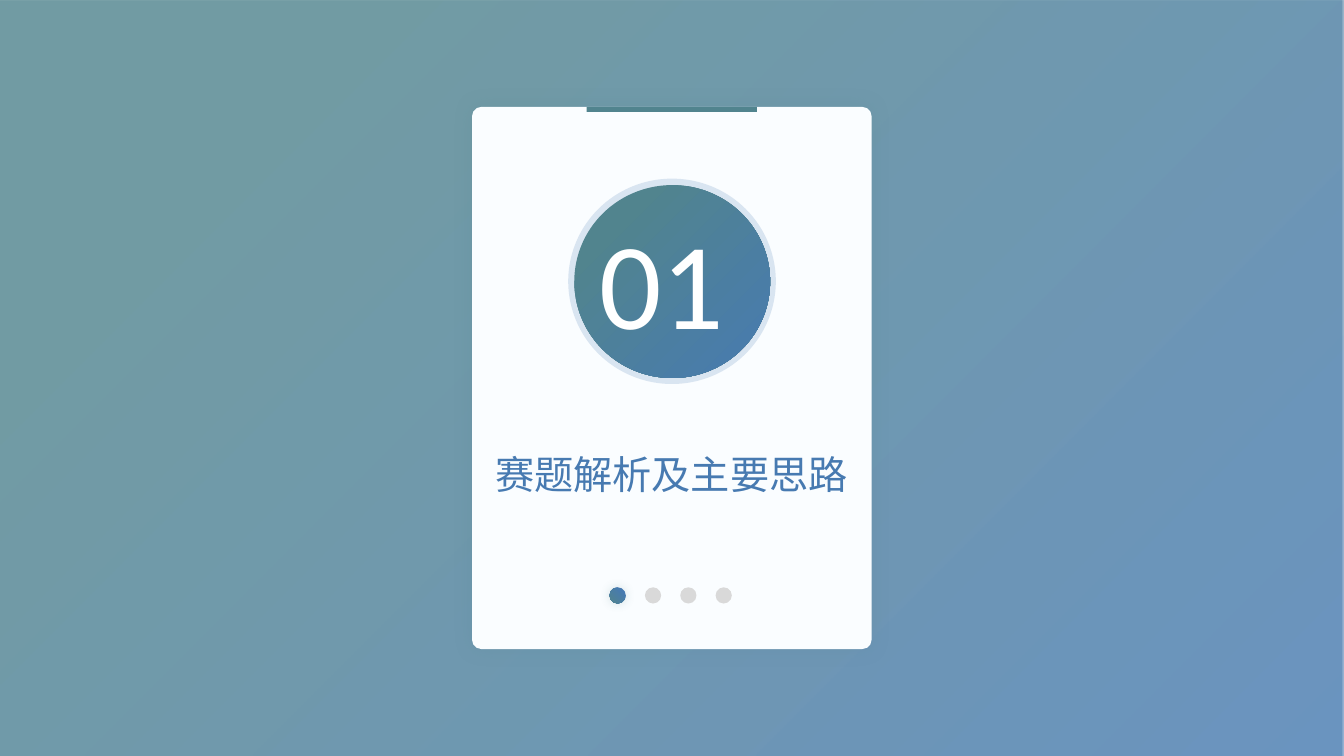
"""Build the section opener slide: a numbered card on a gradient background."""
from dataclasses import dataclass

from lxml.etree import SubElement
from pptx import Presentation
from pptx.dml.color import RGBColor
from pptx.enum.shapes import MSO_SHAPE
from pptx.enum.text import MSO_ANCHOR, MSO_AUTO_SIZE, PP_ALIGN
from pptx.oxml.ns import qn
from pptx.shapes.autoshape import Shape
from pptx.slide import Slide
from pptx.util import Pt


@dataclass(frozen=True)
class Theme:
    teal: str = "51848E"
    blue: str = "477AB1"
    ring: str = "8FAFD2"
    card: str = "FAFDFF"
    inactive: str = "D9D9D9"
    white: str = "FFFFFF"
    number_font: str = "Calibri"
    title_font: str = "Arial"
    number_size: float = 88
    title_size: float = 28


@dataclass(frozen=True)
class Frame:
    left: float
    top: float
    width: float
    height: float


@dataclass(frozen=True)
class Glow:
    color: str
    opacity: int
    blur: float


@dataclass(frozen=True)
class Panel:
    kind: MSO_SHAPE
    frame: Frame
    colors: tuple[str, ...]
    angle: int = 45
    opacity: int = 100
    corner: float | None = None
    glow: Glow | None = None


THEME = Theme()
PAGE_WIDTH, PAGE_HEIGHT = 960, 540
GRADIENT = (THEME.teal, THEME.blue)
GRADIENT_STOPS = (0.2, 1.0)
DOT_COUNT, DOT_LEFT, DOT_TOP, DOT_SIZE, DOT_STEP = 4, 435.4, 419.5, 11.6, 25.25

PANELS = (
    Panel(MSO_SHAPE.RECTANGLE, Frame(0, 0, PAGE_WIDTH, PAGE_HEIGHT), GRADIENT, opacity=80),
    Panel(MSO_SHAPE.ROUNDED_RECTANGLE, Frame(337.2, 76.4, 285.4, 387.2), (THEME.card,),
          corner=0.023, glow=Glow(THEME.teal, 20, 15)),
    Panel(MSO_SHAPE.RECTANGLE, Frame(419, 76.4, 121.7, 3.6), (THEME.teal,)),
    Panel(MSO_SHAPE.OVAL, Frame(405.9, 127.6, 148.3, 146.7), (THEME.ring,), opacity=30),
    Panel(MSO_SHAPE.OVAL, Frame(410.2, 132.2, 139.9, 137.8), GRADIENT),
)


def place(shape: Shape, frame: Frame) -> None:
    """Move and size a shape."""
    shape.left, shape.top = Pt(frame.left), Pt(frame.top)
    shape.width, shape.height = Pt(frame.width), Pt(frame.height)


def set_opacity(color_element, opacity: int) -> None:
    """Give a colour element an opacity in percent."""
    SubElement(color_element, qn("a:alpha"), val=str(opacity * 1000))


def add_glow(shape: Shape, glow: Glow) -> None:
    """Add a soft centred shadow to a shape."""
    effects = shape._element.spPr.find(qn("a:effectLst"))
    shadow = SubElement(effects, qn("a:outerShdw"), blurRad=str(Pt(glow.blur)),
                        dist="0", dir="0", algn="ctr", rotWithShape="0")
    set_opacity(SubElement(shadow, qn("a:srgbClr"), val=glow.color), glow.opacity)


def add_panel(page: Slide, panel: Panel) -> None:
    """Draw a borderless panel with a plain or gradient fill."""
    shape = page.shapes.add_shape(panel.kind, 0, 0, 0, 0)
    place(shape, panel.frame)
    if panel.corner is not None:
        shape.adjustments[0] = panel.corner
    if len(panel.colors) > 1:
        shape.fill.gradient()
        shape.fill.gradient_angle = 360 - panel.angle
        for stop, color, position in zip(shape.fill.gradient_stops, panel.colors, GRADIENT_STOPS):
            stop.color.rgb = RGBColor.from_string(color)
            stop.position = position
    else:
        shape.fill.solid()
        shape.fill.fore_color.rgb = RGBColor.from_string(panel.colors[0])
    if panel.opacity < 100:
        for color_element in list(shape._element.spPr.iter(qn("a:srgbClr"))):
            set_opacity(color_element, panel.opacity)
    shape.line.fill.background()
    shape.shadow.inherit = False
    if panel.glow:
        add_glow(shape, panel.glow)


def write(box: Shape, text: str, *, font: str, size: float, color: str,
          align: PP_ALIGN = PP_ALIGN.LEFT) -> None:
    """Fill a box with one formatted paragraph."""
    frame = box.text_frame
    frame.word_wrap = True
    frame.auto_size = MSO_AUTO_SIZE.SHAPE_TO_FIT_TEXT
    frame.vertical_anchor = MSO_ANCHOR.TOP
    para = frame.paragraphs[0]
    para.alignment = align
    span = para.add_run()
    span.text = text
    span.font.name = font
    span.font.size = Pt(size)
    span.font.color.rgb = RGBColor.from_string(color)


def add_dots(page: Slide) -> None:
    """Draw the progress dots, the first one active."""
    for index in range(DOT_COUNT):
        frame = Frame(DOT_LEFT + index * DOT_STEP, DOT_TOP, DOT_SIZE, DOT_SIZE)
        active = index == 0
        add_panel(page, Panel(
            MSO_SHAPE.OVAL, frame,
            (THEME.blue, THEME.teal) if active else (THEME.inactive,),
            angle=135, glow=Glow(THEME.teal, 21, 7) if active else None))


def main() -> None:
    """Build and save the deck."""
    deck = Presentation()
    deck.slide_width, deck.slide_height = Pt(PAGE_WIDTH), Pt(PAGE_HEIGHT)
    page = deck.slides.add_slide(deck.slide_layouts[5])
    for panel in PANELS:
        add_panel(page, panel)
    add_dots(page)
    number = page.shapes.add_textbox(0, 0, 0, 0)
    place(number, Frame(421.2, 144, 121.7, 113.8))
    write(number, "01", font=THEME.number_font, size=THEME.number_size, color=THEME.white)
    title = page.shapes.title
    place(title, Frame(296.6, 318.2, 365.8, 41))
    write(title, "赛题解析及主要思路", font=THEME.title_font, size=THEME.title_size,
          color=THEME.blue, align=PP_ALIGN.CENTER)
    page.shapes._spTree.append(title._element)
    deck.save("out.pptx")


if __name__ == "__main__":
    main()
